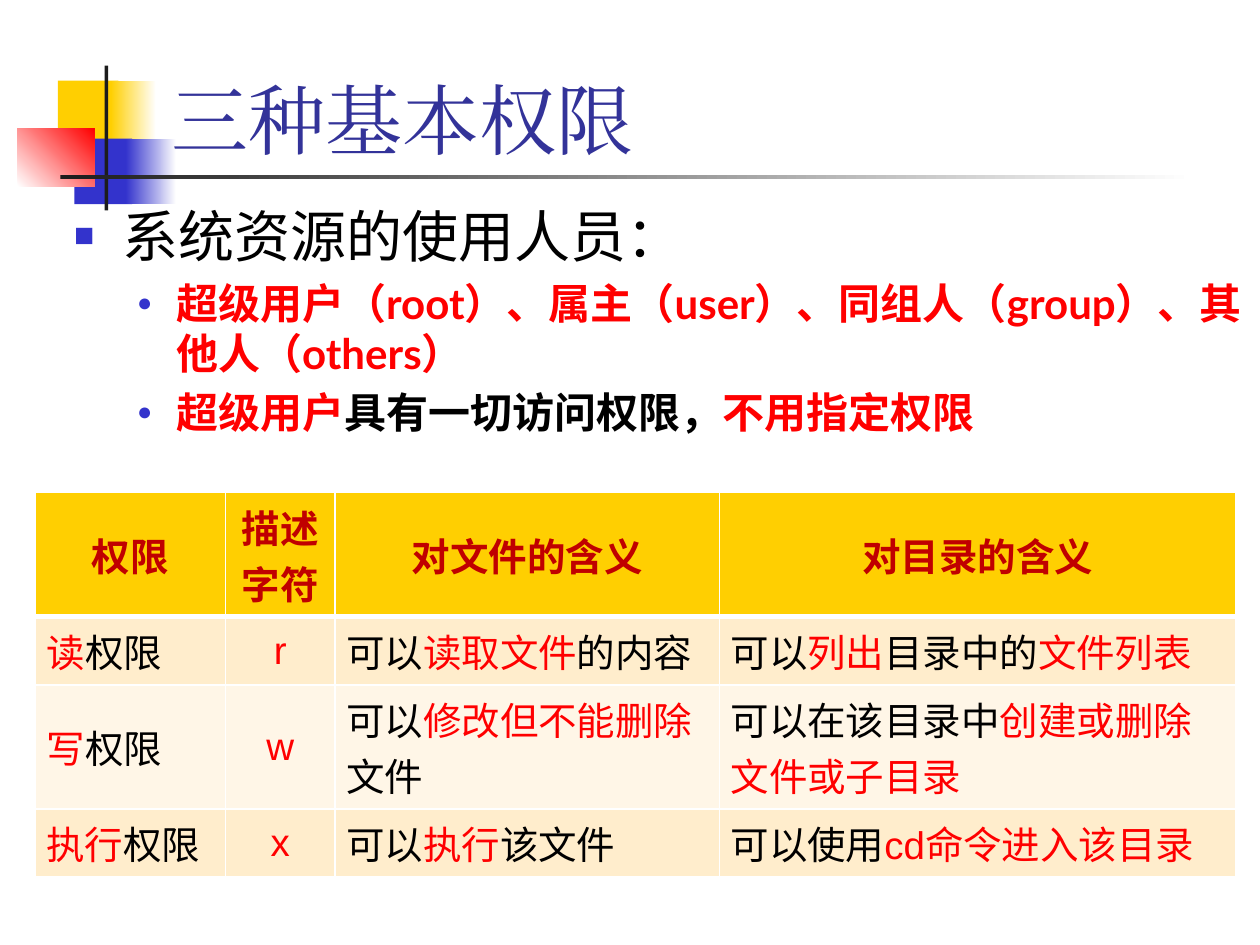
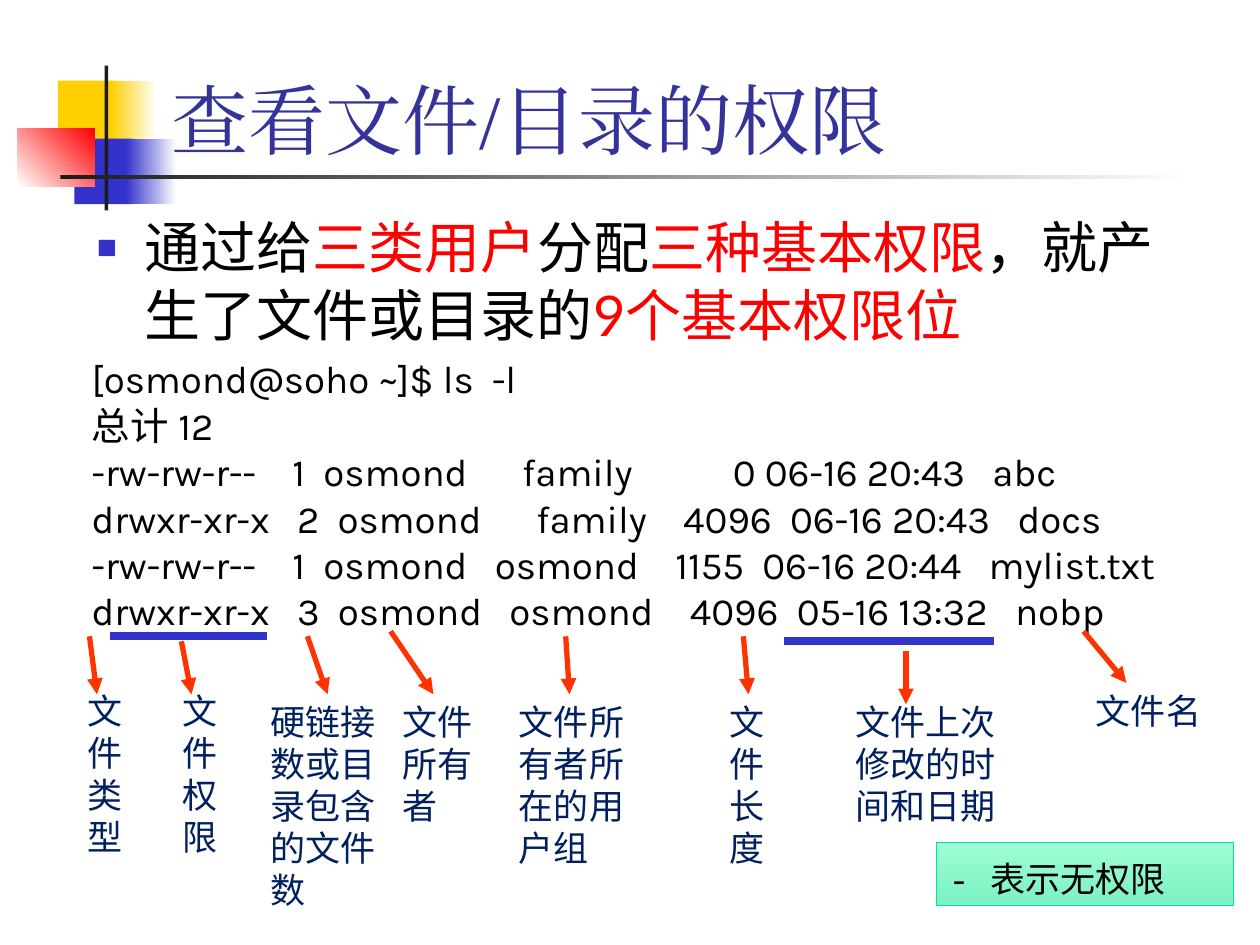
from lxml import etree
from pptx import Presentation
from pptx import util as u
from pptx.dml.color import RGBColor
from pptx.enum import shapes, text
from pptx.oxml.ns import qn

COLORS = {
    "yellow": "FFCF01", "blue": "3333CC", "red": "FF0000", "dark": "1C1C1C",
    "white": "FFFFFF", "black": "000000", "title": "333399", "header": "C00000",
    "row_odd": "FFEDCC", "row_even": "FFF6E7", "label": "002060",
    "arrow": "FF3300", "mint_light": "9DFCD3", "mint_dark": "7CF2C3",
    "mint_line": "00E4A8",
}

# left, top, width, height, colours from start to end, gradient angle
BANDS = [
    (0.46, 0.64, 0.48, 0.52, ["yellow"], 0),
    (0.88, 0.64, 0.36, 0.52, ["yellow", "white"], 0),
    (0.59, 1.1, 0.46, 0.52, ["blue"], 0),
    (1, 1.1, 0.4, 0.52, ["blue", "white"], 0),
    (0.14, 1.02, 0.61, 0.46, ["white", "red"], 45),
    (0.83, 0.52, 0.03, 1.15, ["dark"], 0),
    (0.48, 1.39, 9, 0.03, ["dark", "white"], 0),
]

# Words between asterisks are red.
USERS_HEADING = "系统资源的使用人员："
USERS = [
    "*超级用户（root）、属主（user）、同组人（group）、其他人（others）*",
    "*超级用户*具有一切访问权限，*不用指定权限*",
]
COLUMN_WIDTHS = [1.51, 0.87, 3.05, 4.1]
ROW_HEIGHTS = [0.84, 0.47, 0.84, 0.47]
PERMISSIONS = [
    ["权限", "描述字符", "对文件的含义", "对目录的含义"],
    ["*读*权限", "*r*", "可以*读取文件*的内容", "可以*列出*目录中的*文件列表*"],
    ["*写*权限", "*w*", "可以*修改但不能删除*文件",
     "可以在该目录中*创建或删除文件或子目录*"],
    ["*执行*权限", "*x*", "可以*执行*该文件", "可以使用*cd命令进入该目录*"],
]

NINE_BITS = "通过给*三类用户*分配*三种基本权限*，就产生了文件或目录的*9个基本权限位*"
TERMINAL = [
    "[osmond@soho ~]$ ls  -l",
    "总计 12",
    "-rw-rw-r--    1  osmond      family           0 06-16 20:43   abc",
    "drwxr-xr-x   2  osmond      family    4096  06-16 20:43   docs",
    "-rw-rw-r--    1  osmond   osmond    1155  06-16 20:44   mylist.txt",
    "drwxr-xr-x   3  osmond   osmond    4096  05-16 13:32   nobp",
]
# label, its box, arrow start, arrow end
FIELDS = [
    ("文件类型", (0.6, 5.42, 0.5, 1.43), (0.71, 5.05), (0.77, 5.51)),
    ("文件权限", (1.35, 5.42, 0.58, 1.43), (1.44, 5.09), (1.52, 5.51)),
    ("硬链接数或目录包含的文件数", (2.05, 5.51, 1.1, 1.78), (2.44, 5.05), (2.6, 5.51)),
    ("文件所有者", (3.1, 5.51, 0.83, 1.1), (3.1, 5.01), (3.44, 5.51)),
    ("文件所有者所在的用户组", (4.02, 5.51, 1.08, 1.43), (4.49, 5.05), (4.52, 5.51)),
    ("文件长度", (5.69, 5.51, 0.58, 1.43), (5.9, 5.05), (5.94, 5.51)),
    ("文件上次修改的时间和日期", (6.69, 5.51, 1.33, 1.1), (7.19, 5.17), (7.19, 5.59)),
    ("文件名", (8.6, 5.42, 1.16, 0.43), (8.6, 5.01), (8.94, 5.42)),
]
UNDERLINES = [((0.87, 5.05), (2.12, 5.05)), ((6.22, 5.09), (7.89, 5.09))]
NO_PERMISSION = "- 表示无权限"


def rgb(name):
    return RGBColor.from_string(COLORS[name])


def inches(*lengths):
    return [u.Inches(length) for length in lengths]


def write(paragraph, words, size, font="Lato", east_asian="Lato", color="black",
          bold=False, align=text.PP_ALIGN.LEFT, before=0, spacing=None):
    """Fill a paragraph; words between asterisks become red."""
    paragraph.alignment = align
    paragraph.space_before = u.Pt(before)
    if spacing:
        paragraph.line_spacing = spacing
    for i, part in enumerate(words.split("*")):
        if not part:
            continue
        run = paragraph.add_run()
        run.text = part
        run.font.size = u.Pt(size)
        run.font.name = font
        run.font.bold = bold
        run.font.color.rgb = rgb("red" if i % 2 else color)
        ea = etree.SubElement(run.font._element, qn("a:ea"))
        ea.set("typeface", east_asian)


def add_bullet(paragraph, char, margin, indent):
    props = paragraph._p.get_or_add_pPr()
    props.set("marL", str(u.Inches(margin)))
    props.set("indent", str(u.Inches(indent)))
    color = etree.SubElement(props, qn("a:buClr"))
    etree.SubElement(color, qn("a:srgbClr")).set("val", COLORS["blue"])
    etree.SubElement(props, qn("a:buSzPct")).set("val", "60000")
    etree.SubElement(props, qn("a:buFont")).set("typeface", "Arial")
    etree.SubElement(props, qn("a:buChar")).set("char", char)


def add_text_frame(slide, box):
    frame = slide.shapes.add_textbox(*inches(*box)).text_frame
    frame.word_wrap = True
    return frame


def add_rectangle(slide, box, colors, angle=0):
    rectangle = slide.shapes.add_shape(shapes.MSO_SHAPE.RECTANGLE, *inches(*box))
    rectangle.shadow.inherit = False
    rectangle.line.fill.background()
    if len(colors) == 1:
        rectangle.fill.solid()
        rectangle.fill.fore_color.rgb = rgb(colors[0])
    else:
        rectangle.fill.gradient()
        rectangle.fill.gradient_angle = angle
        for stop, color in zip(rectangle.fill.gradient_stops, colors):
            stop.color.rgb = rgb(color)
    return rectangle


def add_line(slide, start, end, color, width, arrow=False):
    line = slide.shapes.add_connector(
        shapes.MSO_CONNECTOR.STRAIGHT, *inches(*start, *end))
    line.line.color.rgb = rgb(color)
    line.line.width = u.Pt(width)
    if arrow:
        tail = etree.SubElement(line.line._get_or_add_ln(), qn("a:tailEnd"))
        tail.set("type", "triangle")
    etree.SubElement(line._element.spPr, qn("a:effectLst"))


def add_bands_to_layout(slide):
    """Draw the bands, then move them to the layout that all slides share."""
    layout_tree = slide.slide_layout.shapes.element
    for number, (*box, colors, angle) in enumerate(BANDS, start=20):
        band = add_rectangle(slide, box, colors, angle).element
        band.nvSpPr.cNvPr.set("id", str(number))
        layout_tree.append(band)


def add_titled_slide(deck, words):
    slide = deck.slides.add_slide(deck.slide_layouts[5])
    title = slide.shapes.title
    title.left, title.top, title.width, title.height = inches(1.26, 0.21, 8.52, 1.15)
    frame = title.text_frame
    frame.vertical_anchor = text.MSO_ANCHOR.BOTTOM
    frame.auto_size = text.MSO_AUTO_SIZE.NONE
    write(frame.paragraphs[0], words, 44, font="Times New Roman",
          east_asian="Times New Roman", color="title")
    return slide


def set_borders(cell, top, bottom):
    props = cell._tc.get_or_add_tcPr()
    for i, (side, width) in enumerate(
            [("lnL", 1), ("lnR", 1), ("lnT", top), ("lnB", bottom)]):
        border = etree.Element(qn("a:" + side), w=str(u.Pt(width)))
        fill = etree.SubElement(border, qn("a:solidFill"))
        etree.SubElement(fill, qn("a:srgbClr")).set("val", COLORS["white"])
        props.insert(i, border)


def add_permission_table(slide):
    table = slide.shapes.add_table(
        len(ROW_HEIGHTS), len(COLUMN_WIDTHS),
        *inches(0.28, 3.91, sum(COLUMN_WIDTHS), sum(ROW_HEIGHTS))).table
    for column, width in zip(table.columns, COLUMN_WIDTHS):
        column.width = u.Inches(width)
    for r, (row, height) in enumerate(zip(PERMISSIONS, ROW_HEIGHTS)):
        table.rows[r].height = u.Inches(height)
        header = r == 0
        fill = "yellow" if header else "row_odd" if r % 2 else "row_even"
        for c, words in enumerate(row):
            cell = table.cell(r, c)
            cell.vertical_anchor = text.MSO_ANCHOR.MIDDLE
            cell.margin_left = cell.margin_right = u.Inches(0.09)
            cell.fill.solid()
            cell.fill.fore_color.rgb = rgb(fill)
            set_borders(cell, top=3 if r == 1 else 1, bottom=3 if header else 1)
            centred = header or c == 1
            write(cell.text_frame.paragraphs[0], words, 22, font="Arial",
                  east_asian="Noto Sans CJK SC", bold=header,
                  color="header" if header else "black",
                  align=text.PP_ALIGN.CENTER if centred else text.PP_ALIGN.LEFT)


def fill_permissions_slide(slide):
    add_permission_table(slide)
    frame = add_text_frame(slide, (0.49, 1.55, 9.49, 2.01))
    heading = frame.paragraphs[0]
    write(heading, USERS_HEADING, 32)
    add_bullet(heading, "■", 0.38, -0.38)
    for words in USERS:
        item = frame.add_paragraph()
        item.level = 1
        write(item, words, 24, bold=True, before=5)
        add_bullet(item, "●", 0.81, -0.31)


def fill_listing_slide(slide):
    intro = add_text_frame(slide, (0.67, 1.64, 9, 1.06)).paragraphs[0]
    write(intro, NINE_BITS, 32)
    add_bullet(intro, "■", 0.38, -0.38)

    terminal = add_text_frame(slide, (0.63, 2.77, 9.16, 2.32))
    for i, row in enumerate(TERMINAL):
        paragraph = terminal.add_paragraph() if i else terminal.paragraphs[0]
        write(paragraph, row, 22, font="Karla", spacing=u.Pt(26.5))

    for label, box, start, end in FIELDS:
        write(add_text_frame(slide, box).paragraphs[0], label, 20,
              font="Noto Sans CJK SC", color="label")
        add_line(slide, start, end, "arrow", 3, arrow=True)
    for start, end in UNDERLINES:
        add_line(slide, start, end, "blue", 4.5)

    legend = add_rectangle(slide, (7.43, 6.69, 2.36, 0.5),
                           ["mint_light", "mint_dark"], 270)
    legend.line.color.rgb = rgb("mint_line")
    legend.line.width = u.Pt(0.5)
    legend.text_frame.vertical_anchor = text.MSO_ANCHOR.TOP
    write(legend.text_frame.paragraphs[0], NO_PERMISSION, 20,
          font="Courier New", spacing=1.2)


def main():
    deck = Presentation()
    deck.slide_width, deck.slide_height = inches(10, 7.5)
    permissions = add_titled_slide(deck, "三种基本权限")
    add_bands_to_layout(permissions)
    fill_permissions_slide(permissions)
    fill_listing_slide(add_titled_slide(deck, "查看文件/目录的权限"))
    deck.save("out.pptx")


if __name__ == "__main__":
    main()
